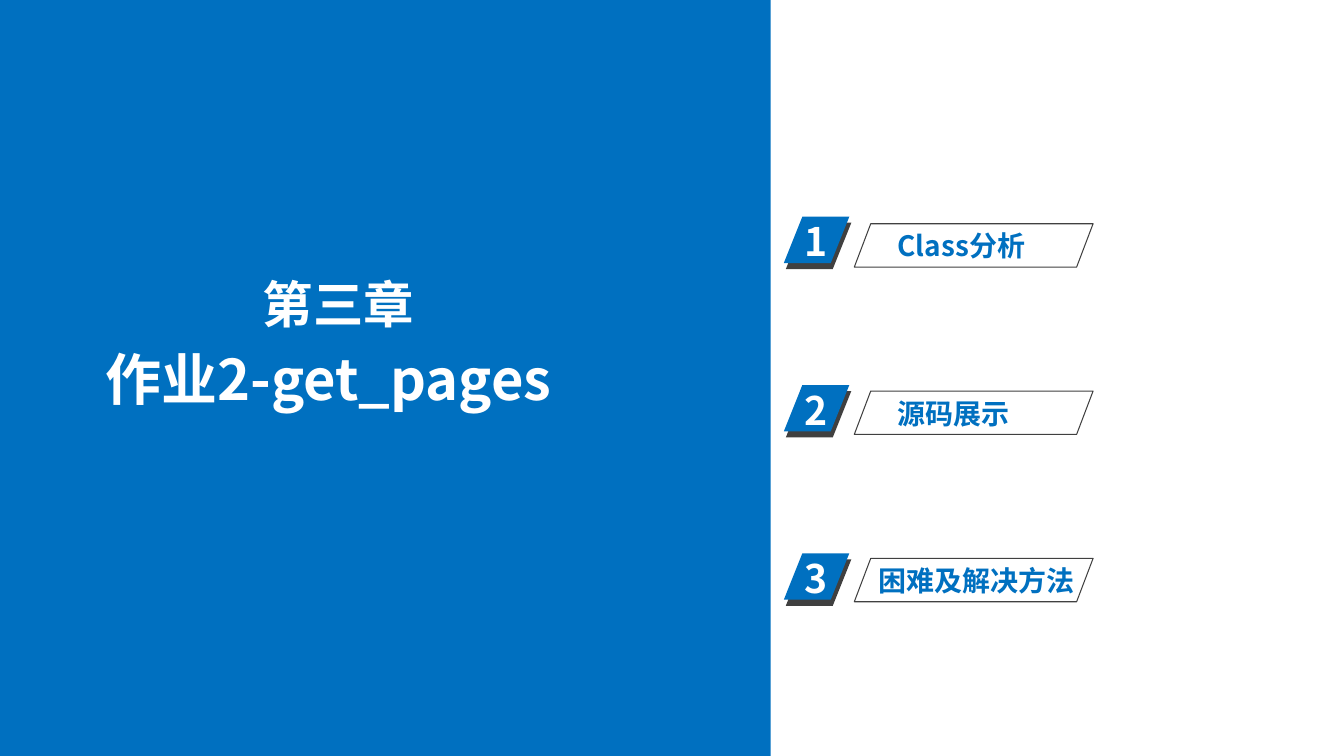
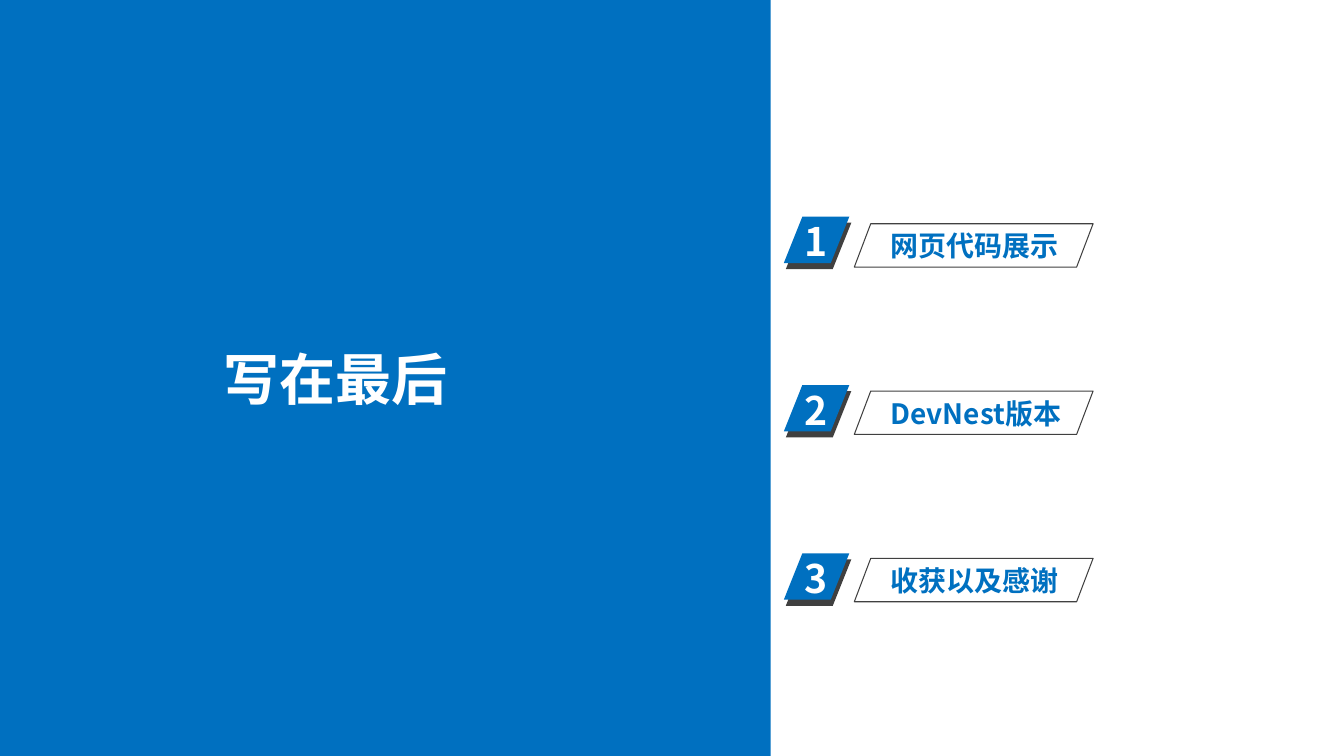
import pptx
import pptx.dml.color
import pptx.enum.shapes
import pptx.enum.text
import pptx.oxml
import pptx.oxml.ns
import pptx.util

Inches = pptx.util.Inches
SHAPES = pptx.enum.shapes.MSO_SHAPE

FONT = "Noto Sans CJK SC"
COLORS = {"blue": "0070C0", "dark": "404040", "white": "FFFFFF"}
STYLES = {
    "chapter": {"size": 36, "color": "white"},
    "title": {"size": 40, "color": "white"},
    "number": {"size": 28, "color": "white"},
    "label": {"size": 20, "color": "blue"},
}
BADGE_TOP, BADGE_STEP = 2.15, 1.67
FRAME_TOP, FRAME_STEP = 2.22, 1.66

SECTIONS = [
    {
        "titles": [
            ("第三章", "chapter", (2.51, 2.66, 1.81, 0.7)),
            ("作业2-get_pages", "title", (0.95, 3.37, 6.29, 0.77)),
        ],
        "items": [("Class分析", 8.81), ("源码展示", 8.81), ("困难及解决方法", 8.62)],
    },
    {
        "titles": [("写在最后", "title", (2.12, 3.37, 2.59, 0.77))],
        "items": [("网页代码展示", 8.74), ("DevNest版本", 8.74), ("收获以及感谢", 8.74)],
    },
]


def color(name):
    return pptx.dml.color.RGBColor.from_string(COLORS[name])


def add_block(shapes, kind, place, fill=None, line=None, slant=None):
    block = shapes.add_shape(kind, *map(Inches, place))
    block.shadow.inherit = False
    if slant is not None:
        block.adjustments[0] = slant
    if fill:
        block.fill.solid()
        block.fill.fore_color.rgb = color(fill)
    else:
        block.fill.background()
    if line:
        block.line.color.rgb = color(line)
        block.line.width = pptx.util.Pt(0.75)
    else:
        block.line.fill.background()


def add_text(shapes, text, style, place):
    box = shapes.add_textbox(*map(Inches, place))
    frame = box.text_frame
    frame.word_wrap = True
    frame.auto_size = pptx.enum.text.MSO_AUTO_SIZE.SHAPE_TO_FIT_TEXT
    span = frame.paragraphs[0].add_run()
    span.text = text
    values = {"name": FONT, "size": pptx.util.Pt(STYLES[style]["size"]), "bold": True}
    for key, value in values.items():
        setattr(span.font, key, value)
    span.font.color.rgb = color(STYLES[style]["color"])
    east_asian = pptx.oxml.parse_xml(
        f'<a:ea {pptx.oxml.ns.nsdecls("a")} typeface="{FONT}"/>')
    span.font._element.find(pptx.oxml.ns.qn("a:latin")).addnext(east_asian)


def add_badge(page, number, top):
    badge = page.shapes.add_group_shape()
    for left, offset, fill in ((7.8, 0.06, "dark"), (7.78, 0, "blue")):
        add_block(badge.shapes, SHAPES.PARALLELOGRAM,
                  (left, top + offset, 0.65, 0.46), fill=fill, slant=0.4)
    add_text(badge.shapes, str(number), "number", (7.89, top - 0.04, 0.69, 0.57))


def add_item(page, index, label, label_left):
    add_badge(page, index + 1, BADGE_TOP + index * BADGE_STEP)
    top = FRAME_TOP + index * FRAME_STEP
    add_block(page.shapes, SHAPES.PARALLELOGRAM, (8.48, top, 2.37, 0.43),
              line="dark", slant=0.38)
    add_text(page.shapes, label, "label", (label_left, top, 3.03, 0.44))


def add_section(deck, section):
    page = deck.slides.add_slide(deck.slide_layouts[6])
    add_block(page.shapes, SHAPES.RECTANGLE, (0, 0, 7.65, 7.5), fill="blue")
    for text, style, place in section["titles"]:
        add_text(page.shapes, text, style, place)
    for index, (label, label_left) in enumerate(section["items"]):
        add_item(page, index, label, label_left)


def main():
    deck = pptx.Presentation()
    deck.slide_width = Inches(13.34)
    deck.slide_height = Inches(7.5)
    for section in SECTIONS:
        add_section(deck, section)
    deck.save("out.pptx")


if __name__ == "__main__":
    main()
